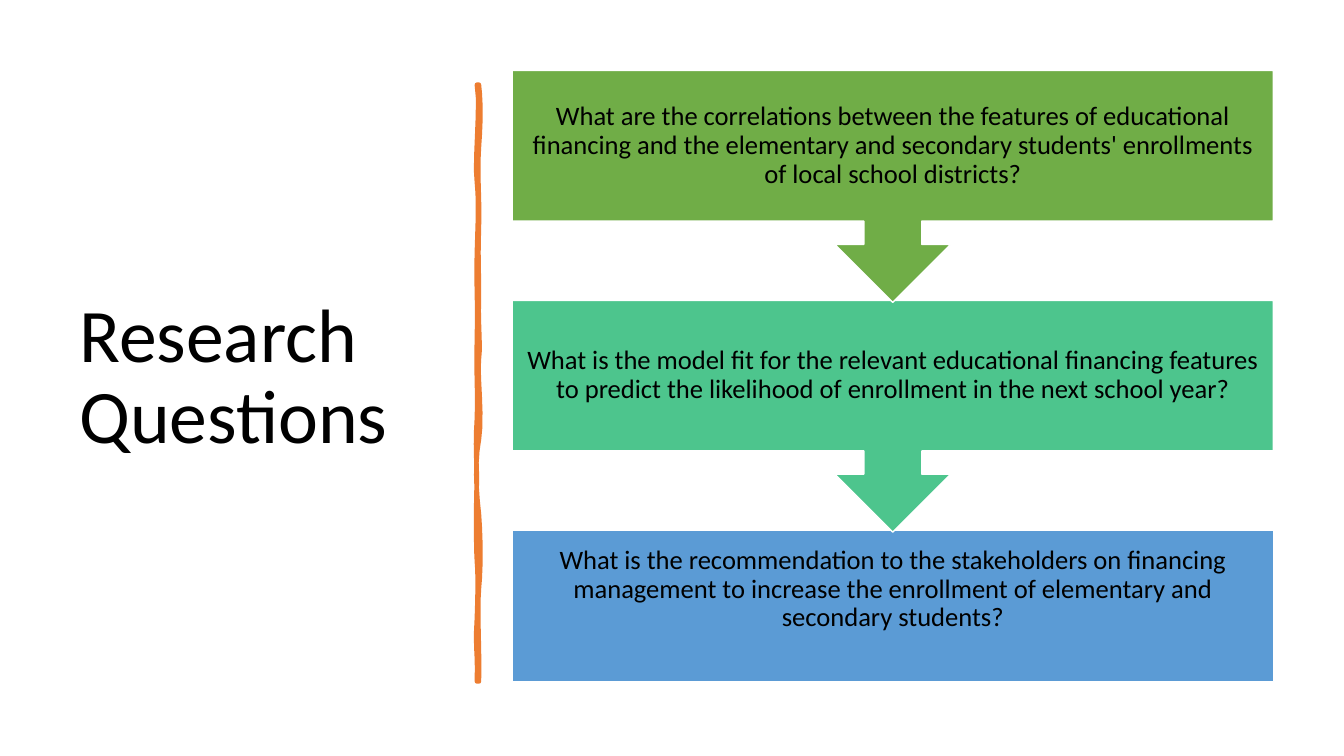
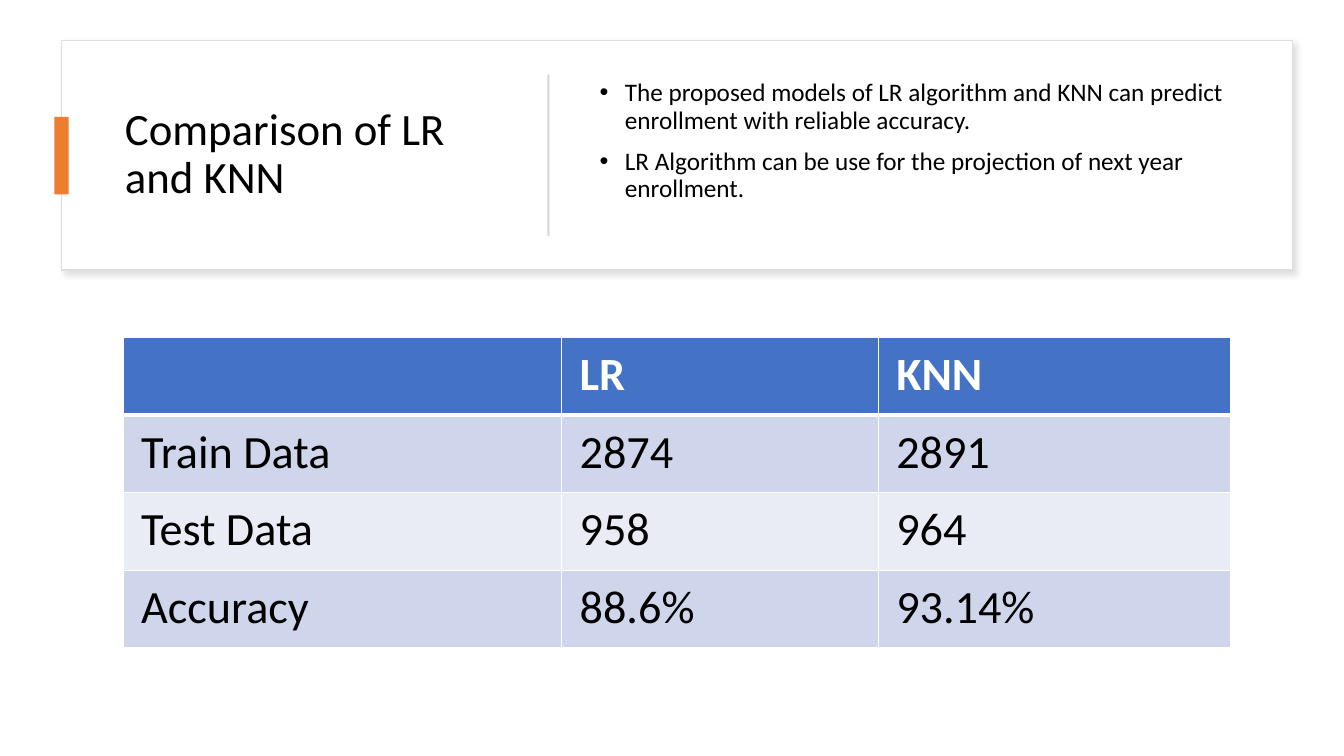
from dataclasses import dataclass

from lxml.etree import SubElement
from pptx import Presentation
from pptx.dml.color import RGBColor
from pptx.enum.shapes import MSO_SHAPE
from pptx.enum.text import MSO_ANCHOR, PP_ALIGN
from pptx.oxml.ns import qn
from pptx.util import Inches, Pt

# Shared style
FONT = "Calibri"
BLACK, WHITE, ORANGE = "000000", "FFFFFF", "ED7D31"
LINE_SPACING = 0.9


@dataclass
class Box:
    x: float
    y: float
    w: float
    h: float

    def emu(self):
        return [Inches(v) for v in (self.x, self.y, self.w, self.h)]


@dataclass
class Question:
    text: str
    fill: str
    shape: MSO_SHAPE
    h: float
    bottom_inset: float = 0.15


def rgb(color: str) -> RGBColor:
    return RGBColor.from_string(color)


def paint(sp, fill: str, line: str = "", width: float = 1):
    sp.shadow.inherit = False
    sp.fill.solid()
    sp.fill.fore_color.rgb = rgb(fill)
    if line:
        sp.line.color.rgb = rgb(line)
        sp.line.width = Pt(width)
    else:
        sp.line.fill.background()
    return sp


def add_block(s, box: Box, fill: str, line: str = "", shape=MSO_SHAPE.RECTANGLE):
    return paint(s.shapes.add_shape(shape, *box.emu()), fill, line)


def style(p, size: float, color: str = BLACK, bold: bool = False):
    p.font.name = FONT
    p.font.size = Pt(size)
    p.font.bold = bold
    p.font.color.rgb = rgb(color)


def write(tf, text: str, size: float):
    tf.word_wrap = True
    tf.vertical_anchor = MSO_ANCHOR.MIDDLE
    p = tf.paragraphs[0]
    p.text = text
    p.line_spacing = LINE_SPACING
    style(p, size)
    return p


def add_title(s, box: Box, text: str, size: float):
    write(s.shapes.add_textbox(*box.emu()).text_frame, text, size)


# Brush stroke: each edge is a start point followed by cubic segments
RIGHT_EDGE = [
    (4.75, 0.84), (4.77, 1.02), (4.77, 1.19), (4.75, 1.46),
    (4.73, 1.73), (4.76, 1.95), (4.75, 2.26), (4.74, 2.57), (4.75, 2.62), (4.75, 2.94),
    (4.74, 3.25), (4.77, 3.42), (4.75, 3.56), (4.73, 3.7), (4.79, 4.14), (4.75, 4.36),
    (4.71, 4.57), (4.72, 4.84), (4.75, 5.1), (4.77, 5.36), (4.77, 5.64), (4.75, 5.84),
    (4.73, 6.03), (4.76, 6.5), (4.75, 6.76),
]
LEFT_EDGE = [
    (4.73, 6.76), (4.74, 6.46), (4.71, 6.44), (4.73, 6.13),
    (4.74, 5.83), (4.74, 5.7), (4.73, 5.57), (4.72, 5.44), (4.72, 4.95), (4.73, 4.77),
    (4.73, 4.59), (4.71, 4.45), (4.73, 4.15), (4.74, 3.86), (4.72, 3.73), (4.73, 3.35),
    (4.74, 2.98), (4.72, 2.81), (4.73, 2.5), (4.74, 2.18), (4.75, 2), (4.73, 1.81),
    (4.7, 1.63), (4.77, 1.04), (4.73, 0.84),
]


def sample(edge: list, steps: int = 6) -> list:
    points = [edge[0]]
    for i in range(0, len(edge) - 1, 3):
        a, b, c, d = edge[i:i + 4]
        for t in (k / steps for k in range(1, steps + 1)):
            u = 1 - t
            points.append(tuple(
                u**3 * a[j] + 3 * u * u * t * b[j] + 3 * u * t * t * c[j] + t**3 * d[j]
                for j in (0, 1)))
    return points


def add_brush_stroke(s):
    points = [(Inches(x), Inches(y)) for x, y in sample(RIGHT_EDGE) + sample(LEFT_EDGE)]
    builder = s.shapes.build_freeform(*points[0])
    builder.add_line_segments(points[1:], close=True)
    sp = paint(builder.convert_to_shape(), ORANGE, ORANGE, 3.25)
    SubElement(sp.line._get_or_add_ln(), qn("a:round"))


# Slide 1: questions from top to bottom
QUESTION_TOP, QUESTION_STEP = 0.7, 2.28
QUESTIONS = [
    Question("What are the correlations between the features of educational financing and the "
             "elementary and secondary students' enrollments of local school districts?",
             "70AD47", MSO_SHAPE.DOWN_ARROW_CALLOUT, 2.3),
    Question("What is the model fit for the relevant educational financing features to predict "
             "the likelihood of enrollment in the next school year?",
             "4DC58D", MSO_SHAPE.DOWN_ARROW_CALLOUT, 2.3),
    Question("What is the recommendation to the stakeholders on financing management to increase "
             "the enrollment of elementary and secondary students?",
             "5B9BD5", MSO_SHAPE.RECTANGLE, 1.5, 0.47),
]


def build_questions(s):
    add_title(s, Box(0.69, 0.7, 3.74, 6.11), "Research Questions", 54)
    add_brush_stroke(s)
    # Drawn from the bottom up so that each arrow tip lies over the next box
    for i, q in reversed(list(enumerate(QUESTIONS))):
        box = Box(5.08, QUESTION_TOP + i * QUESTION_STEP, 7.55, q.h)
        tf = add_block(s, box, q.fill, WHITE, q.shape).text_frame
        tf.margin_left = tf.margin_right = tf.margin_top = Inches(0.15)
        tf.margin_bottom = Inches(q.bottom_inset)
        write(tf, q.text, 19).alignment = PP_ALIGN.CENTER


# Slide 2: findings and results
FINDINGS = [
    "The proposed models of LR algorithm and KNN can predict enrollment with reliable accuracy.",
    "LR Algorithm can be use for the projection of next year enrollment.",
]
RESULTS = [
    ("", "LR", "KNN"),
    ("Train Data", "2874", "2891"),
    ("Test Data", "958", "964"),
    ("Accuracy", "88.6%", "93.14%"),
]
COLUMN_WIDTHS = (4.35, 3.14, 3.5)
ROW_HEIGHT = 0.77
HEADER_FILL, BAND_FILLS = "4472C4", ("E9EBF5", "CFD5EA")


def add_solid(parent, color: str):
    fill = SubElement(parent, qn("a:solidFill"))
    return SubElement(fill, qn("a:srgbClr"), val=color)


def add_soft_shadow(sp):
    effects = sp._element.spPr.find(qn("a:effectLst"))
    shadow = SubElement(effects, qn("a:outerShdw"), blurRad=str(Pt(4)), dist=str(Pt(3)),
                        dir=str(45 * 60000), algn="tl", rotWithShape="0")
    color = SubElement(shadow, qn("a:srgbClr"), val="C5C3C3")
    SubElement(color, qn("a:alpha"), val="50000")


def add_borders(cell, top: float, bottom: float):
    tc_pr = cell._tc.get_or_add_tcPr()
    for side, width in (("L", 1), ("R", 1), ("T", top), ("B", bottom)):
        add_solid(SubElement(tc_pr, qn(f"a:ln{side}"), w=str(Pt(width))), WHITE)


def add_findings(s, box: Box):
    tf = s.shapes.add_textbox(*box.emu()).text_frame
    tf.word_wrap = True
    tf.vertical_anchor = MSO_ANCHOR.MIDDLE
    tf.margin_bottom = Inches(0.32)
    for i, text in enumerate(FINDINGS):
        p = tf.add_paragraph() if i else tf.paragraphs[0]
        p.text = text
        p.line_spacing = LINE_SPACING
        p.space_before = Pt(10 if i else 0)
        p_pr = p._p.get_or_add_pPr()
        p_pr.set("marL", str(Inches(0.25)))
        p_pr.set("indent", str(Inches(-0.25)))
        SubElement(p_pr, qn("a:buFont"), typeface="Arial")
        SubElement(p_pr, qn("a:buChar"), char="•")
        style(p, 18)


def add_results(s, x: float, y: float):
    box = Box(x, y, sum(COLUMN_WIDTHS), ROW_HEIGHT * len(RESULTS))
    table = s.shapes.add_table(len(RESULTS), len(COLUMN_WIDTHS), *box.emu()).table
    for column, width in zip(table.columns, COLUMN_WIDTHS):
        column.width = Inches(width)
    for r, row in enumerate(RESULTS):
        header = r == 0
        table.rows[r].height = Inches(ROW_HEIGHT)
        for c, text in enumerate(row):
            cell = table.cell(r, c)
            cell.margin_left = cell.margin_right = Inches(0.18)
            cell.margin_top = cell.margin_bottom = Inches(0.09)
            add_borders(cell, top=3 if r == 1 else 1, bottom=3 if header else 1)
            cell.fill.solid()
            cell.fill.fore_color.rgb = rgb(HEADER_FILL if header else BAND_FILLS[r % 2])
            p = cell.text_frame.paragraphs[0]
            p.text = text
            style(p, 33, WHITE if header else BLACK, bold=header)


def build_comparison(s):
    add_soft_shadow(add_block(s, Box(0.61, 0.4, 12.21, 2.28), WHITE, "DEDEDE"))
    add_title(s, Box(1.14, 0.64, 3.89, 1.8), "Comparison of LR and KNN", 32)
    add_block(s, Box(0.54, 1.16, 0.14, 0.77), ORANGE)
    add_block(s, Box(5.43, 0.74, 0.02, 1.6), "D5D5D5")
    add_findings(s, Box(5.85, 0.64, 6.56, 1.8))
    add_results(s, 1.22, 3.35)


def main():
    prs = Presentation()
    prs.slide_width, prs.slide_height = Inches(13.33), Inches(7.5)
    for build in (build_questions, build_comparison):
        build(prs.slides.add_slide(prs.slide_layouts[6]))
    prs.save("out.pptx")


if __name__ == "__main__":
    main()
